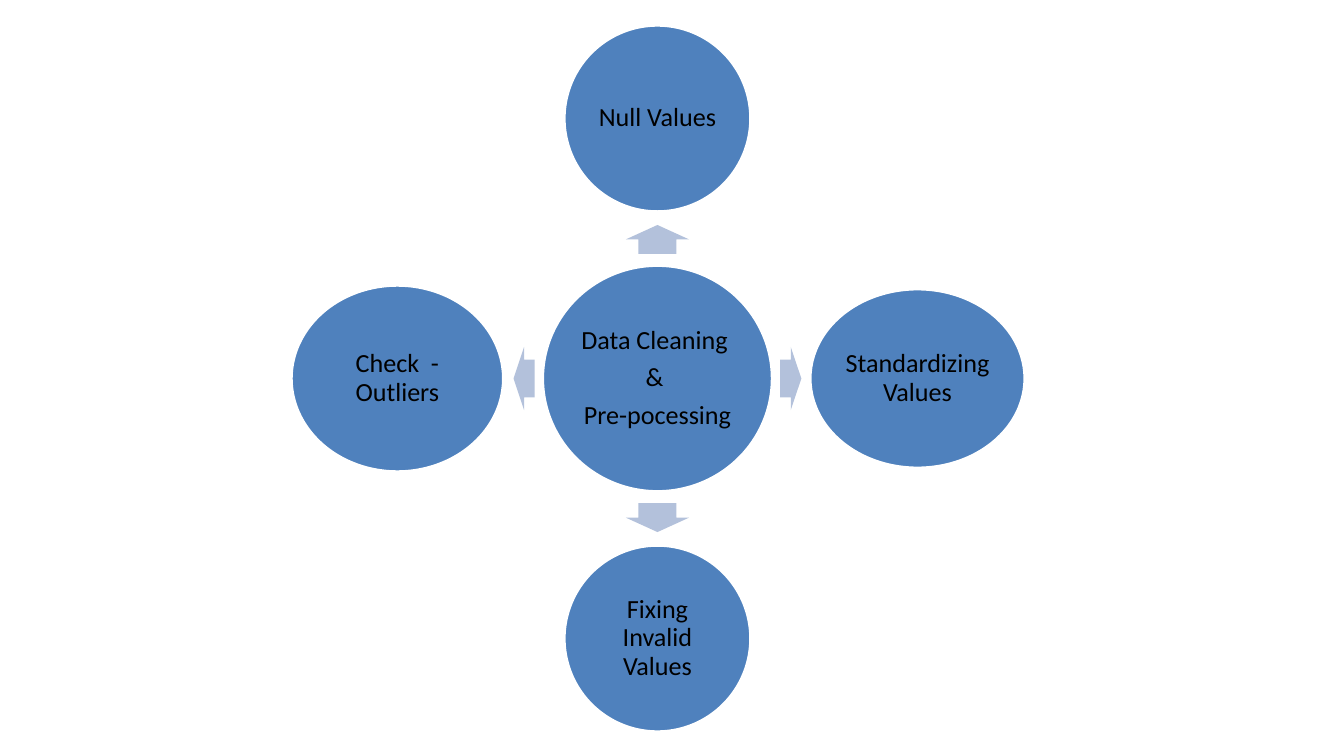
from pptx import Presentation
from pptx.dml.color import RGBColor
from pptx.enum.shapes import MSO_SHAPE as SHAPE
from pptx.enum.text import MSO_ANCHOR as ANCHOR, PP_ALIGN as ALIGN
from pptx.util import Cm, Pt

CENTER_X, CENTER_Y = 24.85, 14.31
RING = 9.83
ARROW_WIDTH = 2.39
FRAME = {
    "word_wrap": True,
    "vertical_anchor": ANCHOR.MIDDLE,
    "margin_left": Cm(0.1),
    "margin_right": Cm(0.1),
    "margin_top": Cm(0.1),
    "margin_bottom": Cm(0.1),
}
PARAGRAPH = {"alignment": ALIGN.CENTER, "line_spacing": 0.9, "space_after": Pt(9.8)}
FONT = {"name": "Calibri", "size": Pt(28)}

# direction x, y, rotation, label, ellipse width, height, arrow distance, length
SPOKES = [
    (0, -1, 270, "Null Values", 7.01, 7.01, 5.26, 1.09),
    (1, 0, 0, "Standardizing Values", 8.08, 6.73, 5.04, 0.8),
    (0, 1, 90, "Fixing Invalid Values", 7.01, 7.01, 5.26, 1.09),
    (-1, 0, 180, "Check  - Outliers", 7.98, 7.01, 5.04, 0.8),
]


def rgb(code):
    return RGBColor.from_string(code)


def assign(obj, values):
    for name, value in values.items():
        setattr(obj, name, value)


def add_centered(s, kind, x, y, w, h, color):
    sp = s.shapes.add_shape(kind, Cm(x - w / 2), Cm(y - h / 2), Cm(w), Cm(h))
    sp.shadow.inherit = False
    sp.fill.solid()
    sp.fill.fore_color.rgb = rgb(color)
    return sp


def add_bubble(s, x, y, w, h, lines):
    sp = add_centered(s, SHAPE.OVAL, x, y, w, h, "4F81BD")
    sp.line.color.rgb = rgb("FFFFFF")
    sp.line.width = Pt(2)
    tf = sp.text_frame
    assign(tf, FRAME)
    for i, line in enumerate(lines):
        p = tf.add_paragraph() if i else tf.paragraphs[0]
        assign(p, PARAGRAPH)
        r = p.add_run()
        r.text = line
        assign(r.font, FONT)
        r.font.color.rgb = rgb("000000")


def add_arrow(s, x, y, length, rotation):
    sp = add_centered(s, SHAPE.RIGHT_ARROW, x, y, length, ARROW_WIDTH, "B3C1DB")
    sp.line.fill.background()
    sp.adjustments[0] = 0.6
    sp.adjustments[1] = 0.5
    sp.rotation = rotation


def main():
    prs = Presentation()
    prs.slide_width, prs.slide_height = Cm(50.8), Cm(28.58)
    s = prs.slides.add_slide(prs.slide_layouts[6])
    hub = ["Data Cleaning ", "& ", "Pre-pocessing"]
    add_bubble(s, CENTER_X, CENTER_Y, 8.64, 8.51, hub)
    for dx, dy, rotation, label, w, h, distance, length in SPOKES:
        add_arrow(s, CENTER_X + dx * distance, CENTER_Y + dy * distance, length, rotation)
        add_bubble(s, CENTER_X + dx * RING, CENTER_Y + dy * RING, w, h, [label])
    prs.save("out.pptx")


if __name__ == "__main__":
    main()
